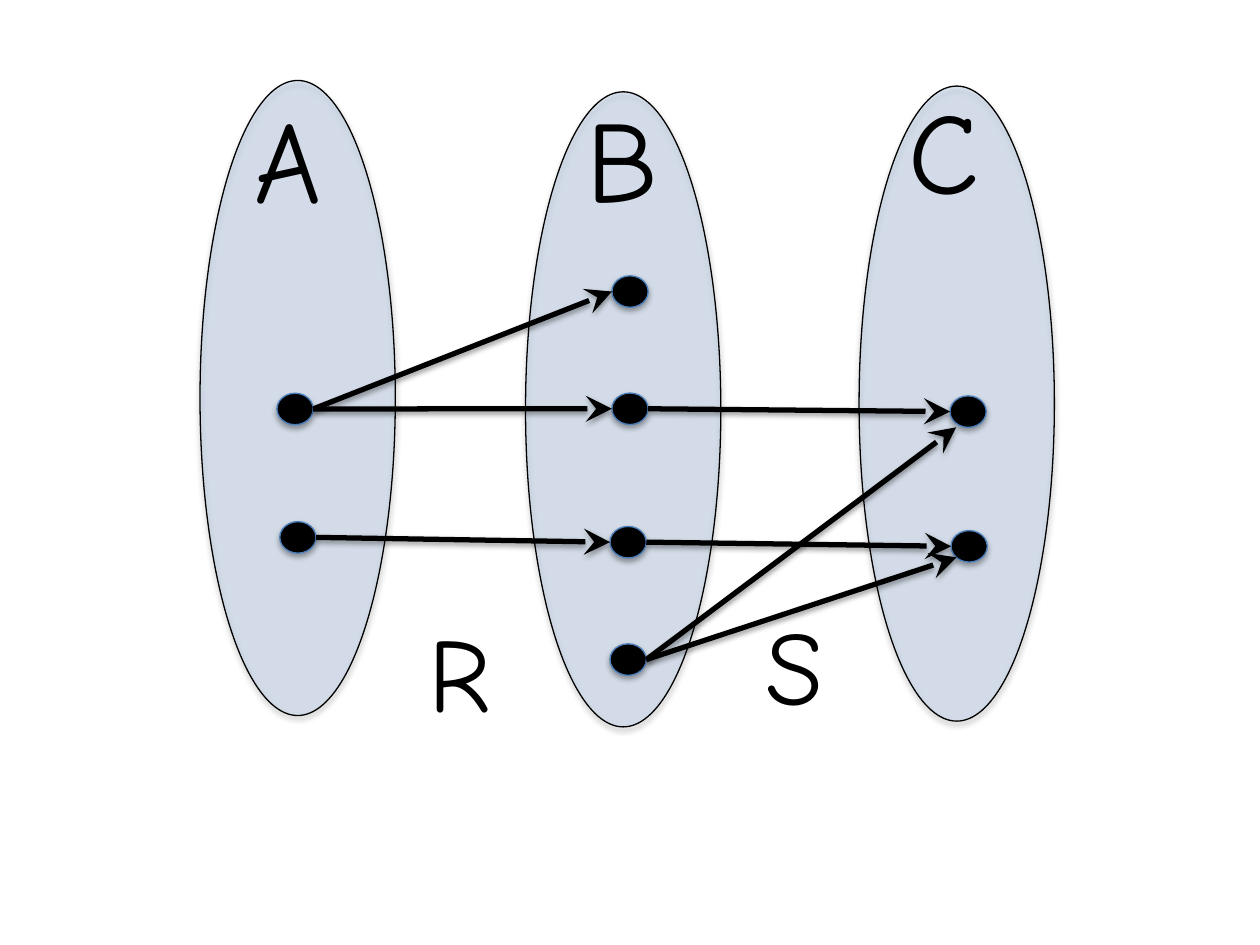
from dataclasses import dataclass

from lxml import etree
from pptx import Presentation
from pptx.dml.color import RGBColor
from pptx.enum import shapes, text
from pptx.oxml import ns
from pptx.util import Pt


@dataclass(frozen=True)
class Theme:
    ink: str = "000000"
    oval: str = "8EB4E3"
    oval_alpha: int = 25
    dot_edge: str = "4B7EBC"
    font: str = "Comic Neue"
    set_size: int = 66
    relation_size: int = 60
    outline: float = 0.75
    arrow: float = 3


T = Theme()
OVAL_W, OVAL_H = 111.6, 362.9
DOT_W, DOT_H = 20.7, 18
RIGHT, LEFT, LOWER_LEFT, BOTTOM_LEFT = (1, 0.5), (0, 0.5), (0.15, 0.85), (0.17, 1)


def rgb(value):
    return RGBColor.from_string(value)


def add_element(parent, tag, **attrs):
    return etree.SubElement(parent, ns.qn(tag), attrs)


def add_shadow(shape, alpha, dist):
    effects = add_element(shape._element.spPr, "a:effectLst")
    shadow = add_element(effects, "a:outerShdw", blurRad=str(Pt(3.15)),
                         dist=str(Pt(dist)), dir="5400000", rotWithShape="0")
    color = add_element(shadow, "a:srgbClr", val=T.ink)
    add_element(color, "a:alpha", val=str(alpha * 1000))


def add_ellipse(s, box, fill, edge, alpha=100):
    sp = s.shapes.add_shape(shapes.MSO_SHAPE.OVAL, *map(Pt, box))
    sp.fill.solid()
    sp.fill.fore_color.rgb = rgb(fill)
    if alpha < 100:
        color = sp._element.spPr.find(".//" + ns.qn("a:srgbClr"))
        add_element(color, "a:alpha", val=str(alpha * 1000))
    sp.line.color.rgb = rgb(edge)
    sp.line.width = Pt(T.outline)
    add_shadow(sp, 35, 1.8)


def add_label(s, box, label, size):
    tf = s.shapes.add_textbox(*map(Pt, box)).text_frame
    tf.word_wrap = False
    tf.auto_size = text.MSO_AUTO_SIZE.SHAPE_TO_FIT_TEXT
    r = tf.paragraphs[0].add_run()
    r.text = label
    r.font.size = Pt(size)
    r.font.name = T.font
    r.font.color.rgb = rgb(T.ink)


def add_set(s, box, name, label_box, offsets):
    left, top, width, height = box
    add_ellipse(s, box, T.oval, T.ink, T.oval_alpha)
    dots = [(left + x, top + y) for x, y in offsets]
    for x, y in dots:
        add_ellipse(s, (x, y, DOT_W, DOT_H), T.ink, T.dot_edge)
    x, y, w, h = label_box
    add_label(s, (left + x, top + y, w, h), name, T.set_size)
    return dots


def dot_point(dot, site):
    return Pt(dot[0] + site[0] * DOT_W), Pt(dot[1] + site[1] * DOT_H)


def add_arrow(s, start, end, site=LEFT):
    line = s.shapes.add_connector(shapes.MSO_CONNECTOR.STRAIGHT,
                                  *dot_point(start, RIGHT), *dot_point(end, site))
    line.line.color.rgb = rgb(T.ink)
    line.line.width = Pt(T.arrow)
    add_element(line.line._get_or_add_ln(), "a:tailEnd",
                type="stealth", w="lg", len="lg")
    add_shadow(line, 38, 1.57)


def add_relation(s, box, name, arrows):
    for arrow in arrows:
        add_arrow(s, *arrow)
    add_label(s, box, name, T.relation_size)


def main():
    prs = Presentation()
    prs.slide_width, prs.slide_height = Pt(720), Pt(540)
    s = prs.slides.add_slide(prs.slide_layouts[6])

    b = add_set(s, (300.3, 52.5, OVAL_W, OVAL_H), "B", (28, -6.4, 56.9, 87.1),
                [(49.4, 105.1), (49.4, 172.1), (48.3, 248.3), (48.3, 315.4)])
    c = add_set(s, (490.9, 49.2, OVAL_W, OVAL_H), "C", (21, -7.4, 54.7, 87.1),
                [(52, 177), (52.6, 254)])
    a = add_set(s, (114.3, 46, OVAL_W, OVAL_H), "A", (23.9, 0.8, 63.4, 87.1),
                [(44, 178.7), (45.6, 252.1)])

    add_relation(s, (237.6, 343.4, 52.6, 79.9), "R",
                 [(a[0], b[1]), (a[1], b[2]), (a[0], b[0])])
    add_relation(s, (430.6, 339.8, 56.9, 79.9), "S",
                 [(b[1], c[0]), (b[2], c[1]),
                  (b[3], c[1], LOWER_LEFT), (b[3], c[0], BOTTOM_LEFT)])
    prs.save("out.pptx")


if __name__ == "__main__":
    main()
